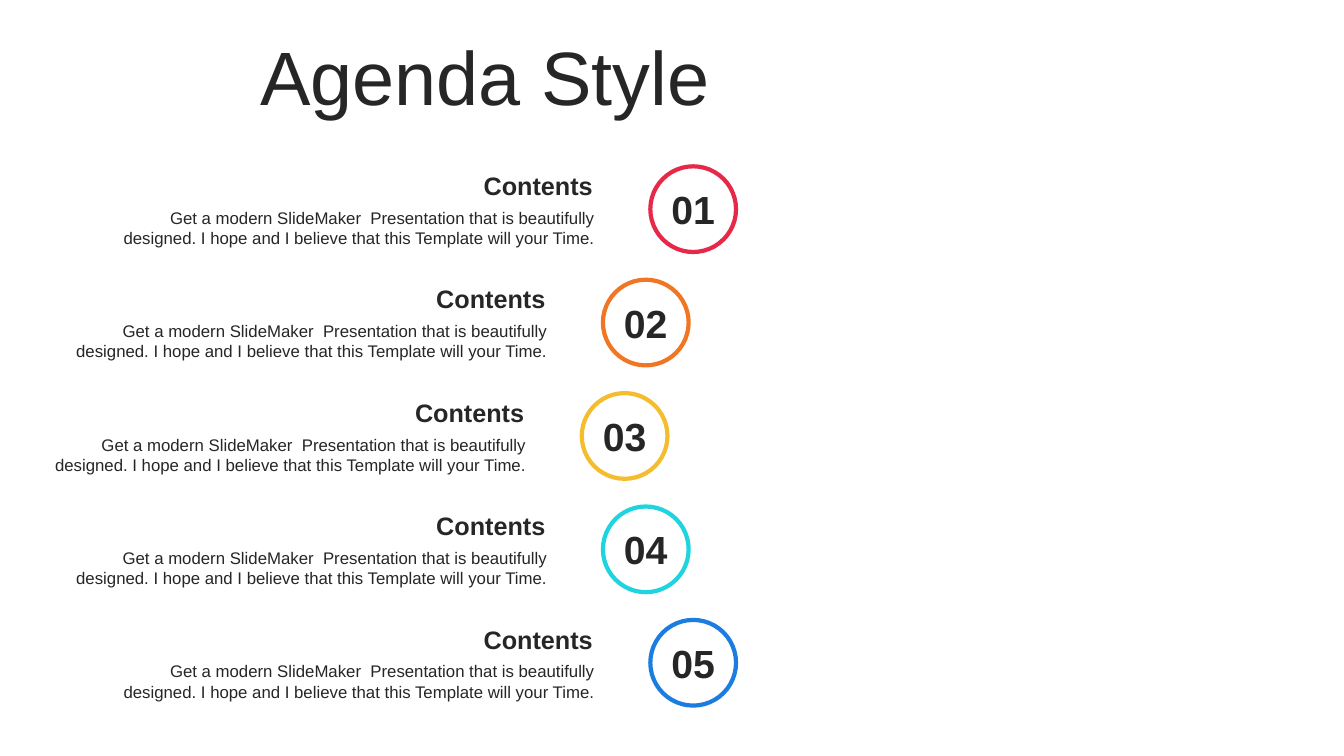
"""Build an agenda slide with five numbered items along a curve."""
from pptx import Presentation
from pptx.dml.color import RGBColor
from pptx.enum.shapes import MSO_SHAPE
from pptx.enum.text import MSO_ANCHOR, MSO_AUTO_SIZE, PP_ALIGN
from pptx.util import Inches, Pt

DARK = RGBColor(0x26, 0x26, 0x26)
RED = RGBColor(0xE6, 0x29, 0x49)
ORANGE = RGBColor(0xF0, 0x76, 0x24)
YELLOW = RGBColor(0xF4, 0xBD, 0x2D)
CYAN = RGBColor(0x1E, 0xD4, 0xDE)
BLUE = RGBColor(0x1C, 0x7D, 0xE1)

HEAD = "Contents"
BODY = ("Get a modern SlideMaker  Presentation that is beautifully "
        "designed. I hope and I believe that this Template will your Time.")
TOP, PITCH = 1.64, 1.125
WIDTH, RING = 4.93, 0.85


def write(shape, text, size, align, bold=False):
    frame = shape.text_frame
    frame.text = text
    frame.auto_size = MSO_AUTO_SIZE.NONE
    frame.word_wrap = True
    line = frame.paragraphs[0]
    line.alignment = align
    font = line.runs[0].font
    font.name, font.size, font.bold = "Arial", Pt(size), bold
    font.color.rgb = DARK
    return frame


def place(left, top, width, height):
    return [Inches(part) for part in (left, top, width, height)]


deck = Presentation()
deck.slide_width, deck.slide_height = Inches(13.33), Inches(7.5)
slide = deck.slides.add_slide(deck.slide_layouts[5])
shapes = slide.shapes

title = shapes.title
title.left, title.top, title.width, title.height = place(0, 0.24, 7.14, 1.01)
frame = write(title, "Agenda Style", 54, PP_ALIGN.RIGHT)
frame.vertical_anchor = MSO_ANCHOR.MIDDLE

items = [(1.07, RED), (0.6, ORANGE), (0.39, YELLOW), (0.6, CYAN), (1.07, BLUE)]
for row, (left, color) in enumerate(items):
    top = TOP + row * PITCH

    body = shapes.add_textbox(*place(left, top + 0.37, WIDTH, 0.5))
    write(body, BODY, 12, PP_ALIGN.RIGHT)

    head = shapes.add_textbox(*place(left, top, WIDTH, 0.4))
    frame = write(head, HEAD, 18, PP_ALIGN.RIGHT, True)
    frame.margin_left = frame.margin_right = Inches(0.12)

    ring = shapes.add_shape(
        MSO_SHAPE.OVAL, *place(left + 5.38, top + 0.01, RING, RING))
    ring.shadow.inherit = False
    ring.fill.background()
    ring.line.color.rgb = color
    ring.line.width = Pt(3)
    frame = write(ring, f"{row + 1:02}", 28, PP_ALIGN.CENTER, True)
    frame.word_wrap = False
    frame.vertical_anchor = MSO_ANCHOR.MIDDLE

deck.save("out.pptx")
